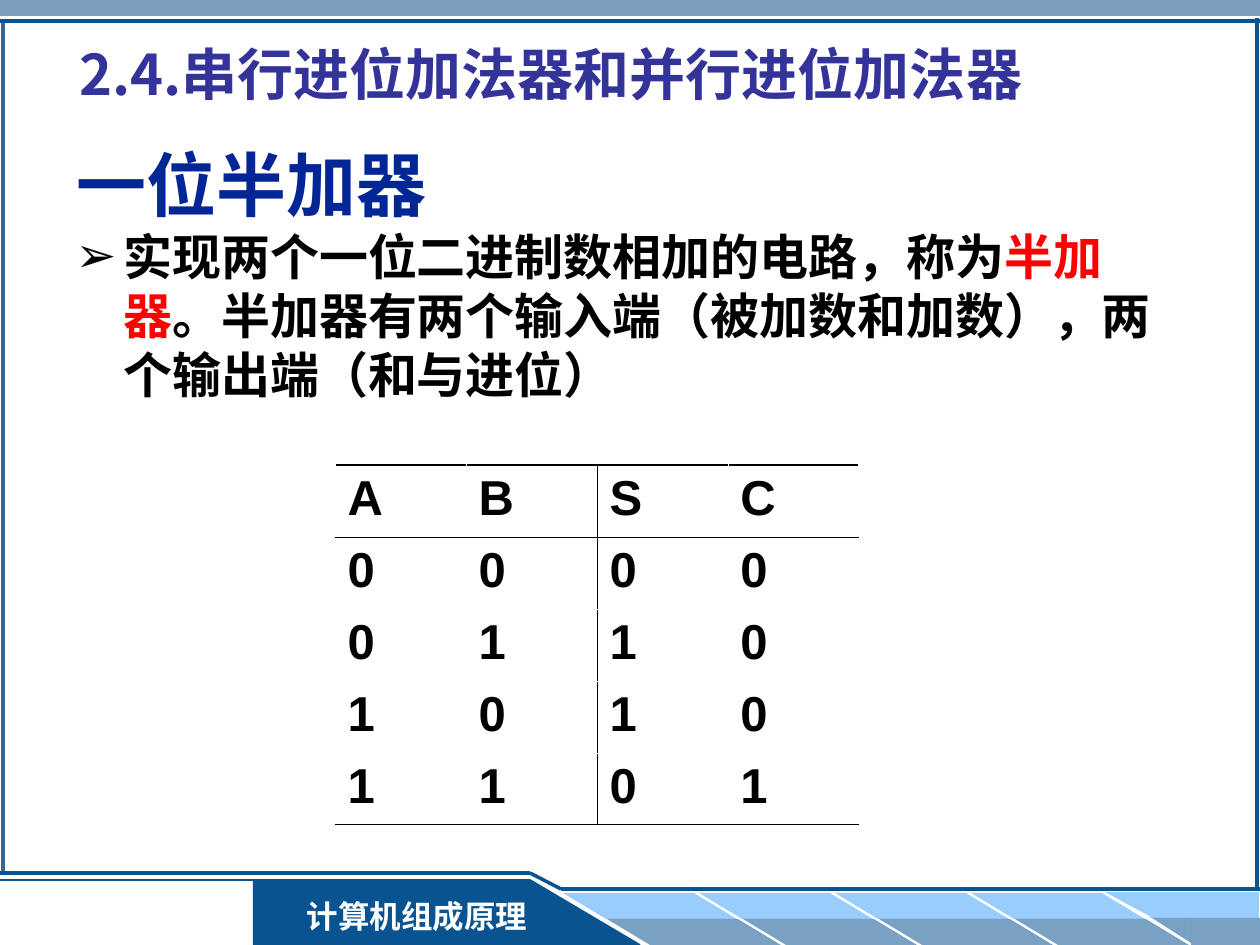
from lxml import etree
from pptx import Presentation
from pptx.dml.color import RGBColor
from pptx.enum.shapes import MSO_CONNECTOR, MSO_SHAPE
from pptx.enum.text import MSO_ANCHOR, PP_ALIGN
from pptx.oxml.ns import qn
from pptx.util import Pt

RECT, TRIANGLE = MSO_SHAPE.RECTANGLE, MSO_SHAPE.RIGHT_TRIANGLE
SLANT, STRAIGHT = MSO_SHAPE.PARALLELOGRAM, MSO_CONNECTOR.STRAIGHT
LEFT, CENTER = PP_ALIGN.LEFT, PP_ALIGN.CENTER
TOP, MIDDLE = MSO_ANCHOR.TOP, MSO_ANCHOR.MIDDLE

EMU_PER_PX = 914400 / 126
CJK = "Noto Sans CJK SC"
NAVY, SKY, STEEL = "095391", "99CCFF", "336699"
BLACK, WHITE, RED = "000000", "FFFFFF", "FF0000"

HEADING = "2.4.串行进位加法器和并行进位加法器"
TITLE = "一位半加器"
COURSE = "计算机组成原理"
DEFINITION = [
    ("实现两个一位二进制数相加的电路，称为", BLACK),
    ("半加器", RED),
    ("。半加器有两个输入端（被加数和加数），两个输出端（和与进位）", BLACK),
]
TRUTH_TABLE = ["ABSC", "0000", "0110", "1010", "1101"]
INPUT_COUNT = 2

# x1, y1, x2, y2, colour, points
FRAME_LINES = [
    (3, 19, 3, 873, STEEL, 2),
    (640, 945, 530, 880, NAVY, 1),
    (530, 880, 0, 880, NAVY, 1.5),
    (-1, 873, 530, 873, NAVY, 2),
    (530, 873, 561, 889, NAVY, 2),
    (561, 889, 1260, 889, NAVY, 2),
    (0, 21, 1260, 21, NAVY, 2),
    (1257, 18, 1257, 891, NAVY, 2),
]
# shape, left, top, width, height, colour, opacity in percent, turned over
FRAME_SHAPES = [
    (RECT, 0, 0, 1260, 16, STEEL, 63, False),
    (RECT, 253, 880, 277, 65, NAVY, 100, False),
    (TRIANGLE, 529, 880, 110, 65, NAVY, 100, False),
    (RECT, 1150, 892, 109, 26, SKY, 100, False),
    (TRIANGLE, 1105, 892, 48, 26, SKY, 100, True),
    (RECT, 1191, 918, 69, 27, NAVY, 54, False),
    (TRIANGLE, 1152, 918, 39, 25, NAVY, 54, True),
]
STRIPE_COUNT, STRIPE_STEP = 4, 136
STRIPE_ROWS = [(563, 893, SKY, 100), (607, 919, NAVY, 54)]


def px(value):
    return round(value * EMU_PER_PX)


def color(value):
    return RGBColor.from_string(value)


def add_filled(page, kind, left, top, width, height, fill, opacity=100,
               flip_h=False, flip_v=False):
    shape = page.shapes.add_shape(kind, px(left), px(top), px(width), px(height))
    shape.shadow.inherit = False
    shape.line.fill.background()
    shape.fill.solid()
    shape.fill.fore_color.rgb = color(fill)
    properties = shape._element.spPr
    if opacity < 100:
        paint = properties.find(".//" + qn("a:srgbClr"))
        etree.SubElement(paint, qn("a:alpha"), val=str(opacity * 1000))
    frame = properties.find(qn("a:xfrm"))
    for name, turned in (("flipH", flip_h), ("flipV", flip_v)):
        if turned:
            frame.set(name, "1")
    return shape


def add_line(page, x1, y1, x2, y2, stroke, points):
    line = page.shapes.add_connector(STRAIGHT, px(x1), px(y1), px(x2), px(y2))
    line.line.color.rgb = color(stroke)
    line.line.width = Pt(points)
    etree.SubElement(line._element.spPr, qn("a:effectLst"))


def write(frame, text, size, font="Arial", fill=BLACK, align=LEFT, anchor=TOP,
          before=0, line_height=None, inset_top=6):
    """Fill a text frame with one bold paragraph: a string or (text, colour) pairs."""
    frame.word_wrap = True
    frame.vertical_anchor = anchor
    frame.margin_top = px(inset_top)
    para = frame.paragraphs[0]
    para.alignment = align
    para.space_before = Pt(before)
    if line_height:
        para.line_spacing = Pt(line_height)
    for words, tint in [(text, fill)] if isinstance(text, str) else text:
        span = para.add_run()
        span.text = words
        span.font.size = Pt(size)
        span.font.bold = True
        span.font.name = font
        span.font.color.rgb = color(tint)
        etree.SubElement(span.font._element, qn("a:ea"), typeface=CJK)
    return para


def add_text(page, left, top, width, height, text, size, **style):
    box = page.shapes.add_textbox(px(left), px(top), px(width), px(height))
    return write(box.text_frame, text, size, **style)


def add_bullet(para, mark, indent):
    """Hang the paragraph on a bullet and keep punctuation inside the margin."""
    properties = para._p.get_or_add_pPr()
    properties.set("marL", str(px(indent)))
    properties.set("indent", str(-px(indent)))
    properties.set("hangingPunct", "0")
    paint = etree.SubElement(properties, qn("a:buClr"))
    etree.SubElement(paint, qn("a:srgbClr"), val=BLACK)
    etree.SubElement(properties, qn("a:buFont"), typeface="Arial")
    etree.SubElement(properties, qn("a:buChar"), char=mark)


def set_borders(cell, edges):
    """Set the edges, given as side: (colour, points) in the order L, R, T, B."""
    properties = cell._tc.get_or_add_tcPr()
    for side, (stroke, points) in edges.items():
        line = etree.SubElement(properties, qn("a:ln" + side), w=str(Pt(points)))
        paint = etree.SubElement(line, qn("a:solidFill"))
        etree.SubElement(paint, qn("a:srgbClr"), val=stroke)


def draw_frame(page):
    for kind, left, top, width, height, fill, opacity, turned in FRAME_SHAPES:
        add_filled(page, kind, left, top, width, height, fill, opacity, turned, turned)
    for index in range(STRIPE_COUNT):
        for left, top, fill, opacity in STRIPE_ROWS:
            stripe = add_filled(page, SLANT, left + index * STRIPE_STEP, top,
                                174, 26, fill, opacity, flip_h=True)
            stripe.adjustments[0] = 1.66
    for line in FRAME_LINES:
        add_line(page, *line)
    label = add_filled(page, RECT, 288, 892, 258, 50, NAVY)
    write(label.text_frame, COURSE, 18, font="Times New Roman", fill=WHITE,
          align=CENTER, before=11.2, line_height=23, inset_top=3)


def draw_truth_table(page, left, top, column_width, row_height):
    rows, columns = len(TRUTH_TABLE), len(TRUTH_TABLE[0])
    table = page.shapes.add_table(rows, columns, px(left), px(top),
                                  px(column_width * columns),
                                  px(row_height * rows)).table
    table.first_row = table.horz_banding = False
    for column in table.columns:
        column.width = px(column_width)
    thin, thick, blank = (BLACK, 0.45), (BLACK, 0.7), (WHITE, 0.45)
    rules = [thick, thin] + [blank] * (rows - 2) + [thick]
    for r, values in enumerate(TRUTH_TABLE):
        table.rows[r].height = px(row_height)
        for c, value in enumerate(values):
            cell = table.cell(r, c)
            set_borders(cell, {
                "L": thin if c == INPUT_COUNT else blank,
                "R": thin if c == INPUT_COUNT - 1 else blank,
                "T": rules[r],
                "B": rules[r + 1],
            })
            cell.fill.background()
            write(cell.text_frame, value, 28, before=7)


def main():
    deck = Presentation()
    deck.slide_width, deck.slide_height = px(1260), px(945)
    page = deck.slides.add_slide(deck.slide_layouts[6])
    draw_frame(page)
    add_text(page, 64, 125, 1134, 118, TITLE, 40, fill="032697", anchor=MIDDLE)
    definition = add_text(page, 63, 220, 1129, 624, DEFINITION, 28,
                          before=7, line_height=33.7)
    add_bullet(definition, "➢", 48)
    draw_truth_table(page, 335, 465, 131, 72)
    add_text(page, 25, 33, 1052, 81, HEADING, 32, font=CJK, fill="333399",
             align=CENTER, line_height=42, inset_top=0)
    deck.save("out.pptx")


if __name__ == "__main__":
    main()
